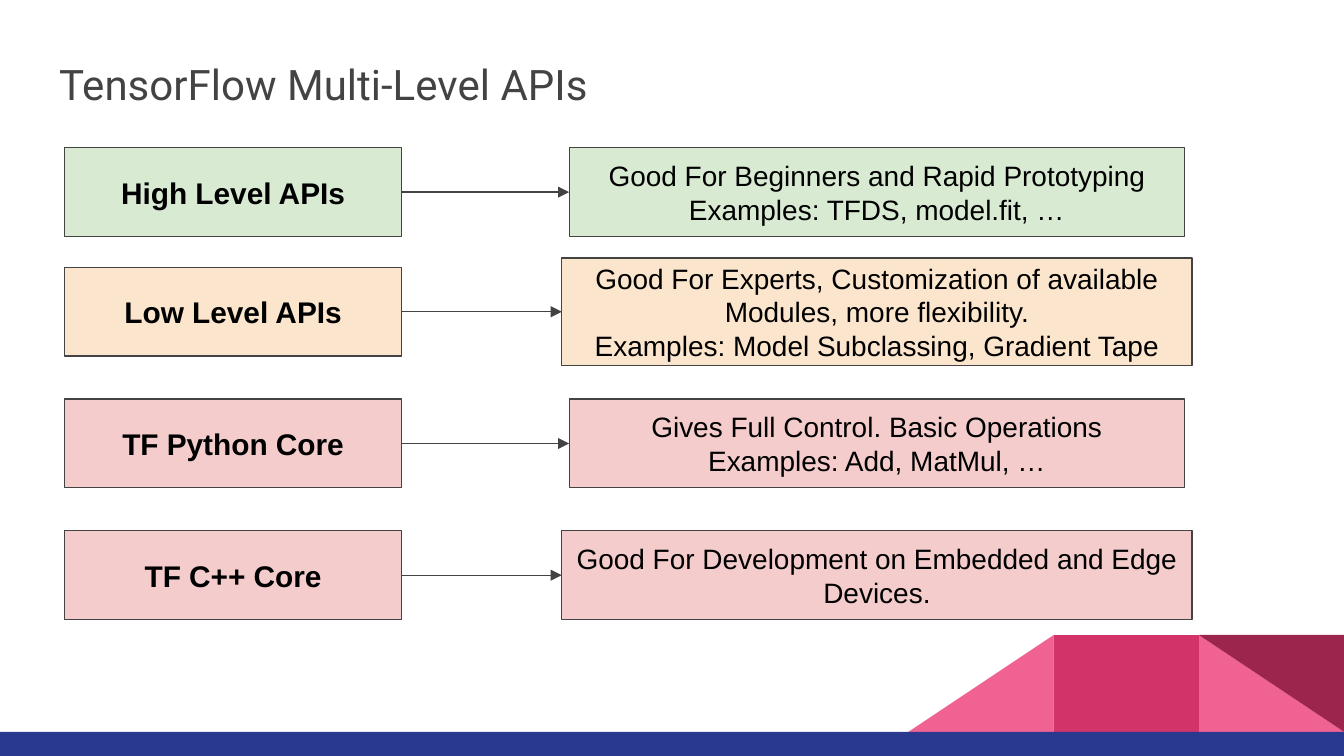
from dataclasses import dataclass

from lxml import etree
from pptx import Presentation
from pptx.dml.color import RGBColor
from pptx.enum.shapes import MSO_CONNECTOR, MSO_SHAPE
from pptx.enum.text import MSO_ANCHOR, MSO_AUTO_SIZE, PP_ALIGN
from pptx.oxml.ns import qn
from pptx.util import Inches, Pt

RECTANGLE = MSO_SHAPE.RECTANGLE
TRIANGLE = MSO_SHAPE.RIGHT_TRIANGLE
STRAIGHT = MSO_CONNECTOR.STRAIGHT
TOP, MIDDLE = MSO_ANCHOR.TOP, MSO_ANCHOR.MIDDLE
LEFT, CENTER = PP_ALIGN.LEFT, PP_ALIGN.CENTER
NO_AUTOFIT = MSO_AUTO_SIZE.NONE
TITLE_ONLY = 5
PAGE_WIDTH = 10
PAGE_HEIGHT = PAGE_WIDTH * 9 / 16


@dataclass(frozen=True)
class Theme:
    title_font: str = "Roboto"
    body_font: str = "Arial"
    title_size: float = 22.5
    label_size: float = 16
    detail_size: float = 15
    line_width: float = 0.75
    inset: float = 0.1
    dark: str = "434343"
    text: str = "000000"
    green: str = "D9EAD3"
    orange: str = "FCE5CD"
    red: str = "F4CCCC"
    pink: str = "F06292"
    magenta: str = "D23369"
    maroon: str = "9C254D"
    blue: str = "2A3990"


THEME = Theme()

LEVELS = [
    ("High Level APIs",
     "Good For Beginners and Rapid Prototyping\nExamples: TFDS, model.fit, …",
     THEME.green, 1.1, 4.58, 0.66),
    ("Low Level APIs",
     "Good For Experts, Customization of available Modules, more flexibility.\n"
     "Examples: Model Subclassing, Gradient Tape",
     THEME.orange, 1.99, 4.69, 0.8),
    ("TF Python Core",
     "Gives Full Control. Basic Operations\nExamples: Add, MatMul, …",
     THEME.red, 2.97, 4.58, 0.66),
    ("TF C++ Core",
     "Good For Development on Embedded and Edge Devices.",
     THEME.red, 3.95, 4.69, 0.66),
]


def color(value):
    return RGBColor.from_string(value)


def format_text(frame, font, size, text_color, align, anchor, bold=False):
    frame.word_wrap = True
    frame.auto_size = NO_AUTOFIT
    frame.vertical_anchor = anchor
    frame.margin_left = frame.margin_right = Inches(THEME.inset)
    frame.margin_top = frame.margin_bottom = Inches(THEME.inset)
    for para in frame.paragraphs:
        para.alignment = align
        for span in para.runs:
            span.font.name = font
            span.font.size = Pt(size)
            span.font.bold = bold
            span.font.color.rgb = color(text_color)


def add_filled_shape(page, kind, box, fill):
    shape = page.shapes.add_shape(kind, *map(Inches, box))
    shape.shadow.inherit = False
    shape.fill.solid()
    shape.fill.fore_color.rgb = color(fill)
    shape.line.fill.background()
    return shape


def add_text_box(page, box, text, fill, size, bold=False):
    shape = add_filled_shape(page, RECTANGLE, box, fill)
    shape.line.color.rgb = color(THEME.dark)
    shape.line.width = Pt(THEME.line_width)
    shape.text_frame.text = text
    format_text(shape.text_frame, THEME.body_font, size, THEME.text,
                CENTER, MIDDLE, bold)
    return shape


def add_arrow(page, start, end):
    arrow = page.shapes.add_connector(STRAIGHT, 0, 0, 0, 0)
    arrow.begin_connect(start, 3)
    arrow.end_connect(end, 1)
    arrow.line.color.rgb = color(THEME.dark)
    arrow.line.width = Pt(THEME.line_width)
    properties = arrow._element.spPr
    etree.SubElement(properties.find(qn("a:ln")), qn("a:tailEnd"), type="triangle")
    etree.SubElement(properties, qn("a:effectLst"))


def add_decoration(page, box):
    left, top, width, height = box
    bar_height = 0.18
    tile_width, tile_height = 1.08, height - bar_height
    tiles = [
        (TRIANGLE, 1, THEME.pink, False, 0),
        (TRIANGLE, 3, THEME.pink, True, 0),
        (RECTANGLE, 2, THEME.magenta, False, 0),
        (TRIANGLE, 1, THEME.maroon, False, 180),
    ]
    for kind, steps, fill, mirrored, rotation in tiles:
        tile_box = (left + width - steps * tile_width, top, tile_width, tile_height)
        tile = add_filled_shape(page, kind, tile_box, fill)
        tile.rotation = rotation
        if mirrored:
            tile._element.spPr.find(qn("a:xfrm")).set("flipH", "1")
    add_filled_shape(page, RECTANGLE, (left, top + tile_height, width, bar_height),
                     THEME.blue)


def add_title(page, box, text):
    title = page.shapes.title
    title.left, title.top, title.width, title.height = map(Inches, box)
    title.text_frame.text = text
    format_text(title.text_frame, THEME.title_font, THEME.title_size,
                THEME.dark, LEFT, TOP)
    para = title.text_frame.paragraphs[0]
    para.line_spacing = 1.15
    para.space_before = Pt(0)
    para.space_after = Pt(12)


def add_level(page, box, label, detail, fill, detail_width, detail_height):
    left, top, width, height = box
    label_width, widest_detail = 2.51, 4.69
    detail_center = left + width - widest_detail / 2
    detail_box = (detail_center - detail_width / 2,
                  top + (height - detail_height) / 2,
                  detail_width, detail_height)
    label_shape = add_text_box(page, (left, top, label_width, height), label,
                               fill, THEME.label_size, bold=True)
    detail_shape = add_text_box(page, detail_box, detail, fill, THEME.detail_size)
    add_arrow(page, label_shape, detail_shape)


def main():
    deck = Presentation()
    deck.slide_width, deck.slide_height = Inches(PAGE_WIDTH), Inches(PAGE_HEIGHT)
    page = deck.slides.add_slide(deck.slide_layouts[TITLE_ONLY])
    add_decoration(page, (0, PAGE_HEIGHT - 0.9, PAGE_WIDTH, 0.9))
    add_title(page, (0.34, 0.28, 9.32, 0.66), "TensorFlow Multi-Level APIs")
    for label, detail, fill, top, detail_width, detail_height in LEVELS:
        add_level(page, (0.48, top, 8.39, 0.66), label, detail, fill,
                  detail_width, detail_height)
    deck.save("out.pptx")


if __name__ == "__main__":
    main()
